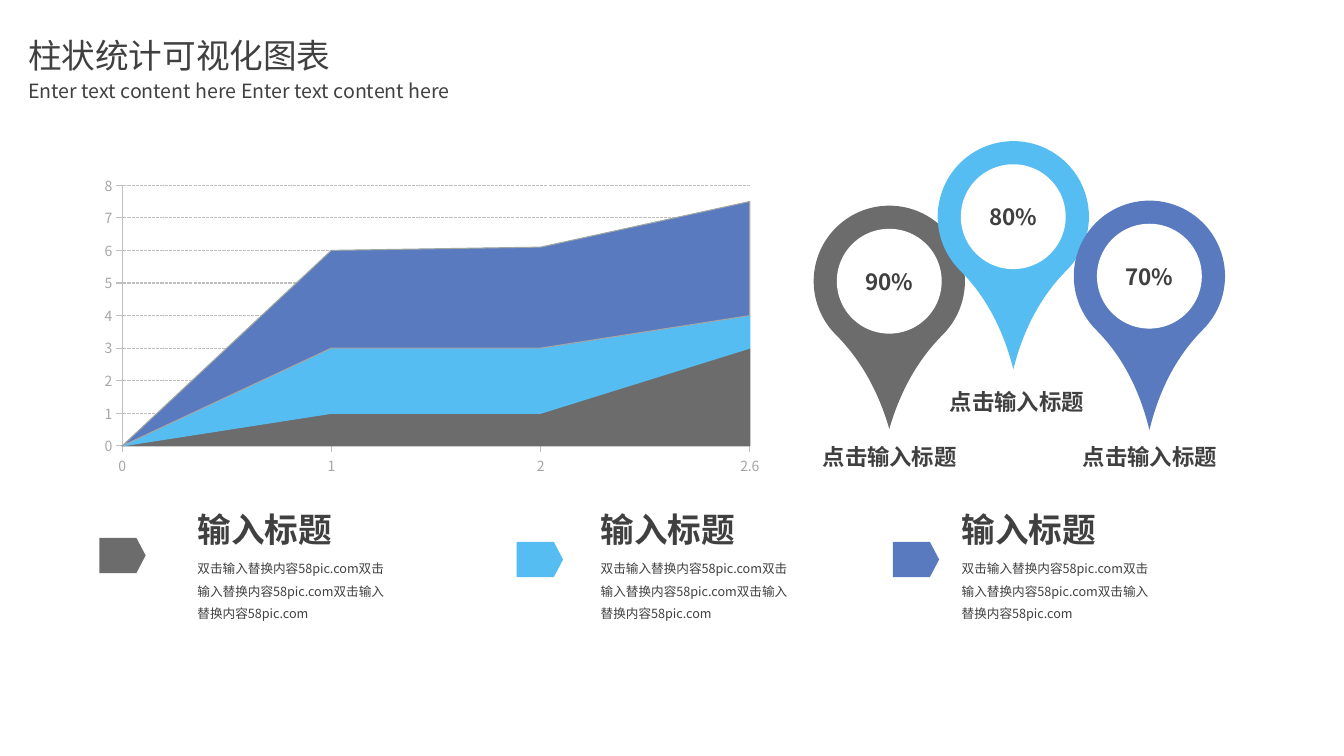
from dataclasses import dataclass

import pptx
import pptx.chart.data
import pptx.dml.color
import pptx.enum.chart
import pptx.enum.dml
import pptx.enum.shapes
import pptx.enum.text
import pptx.oxml
import pptx.oxml.ns
import pptx.util
from lxml import etree

Inches = pptx.util.Inches
Pt = pptx.util.Pt
qn = pptx.oxml.ns.qn
SHAPE = pptx.enum.shapes.MSO_SHAPE
ALIGN = pptx.enum.text.PP_ALIGN


@dataclass(frozen=True)
class Theme:
    font: str = "Noto Sans CJK JP"
    text: str = "404040"
    white: str = "FFFFFF"
    gray: str = "6C6C6C"
    sky: str = "55BDF1"
    blue: str = "5A7AC0"
    green: str = "7EB08C"
    axis_line: str = "BFBFBF"
    axis_text: str = "A6A6A6"
    title: int = 24
    subtitle: int = 14
    label: int = 16
    axis: int = 10
    body: int = 9


T = Theme()


def rgb(color):
    return pptx.dml.color.RGBColor.from_string(color)


def write(tf, text, size, bold=False, align=ALIGN.LEFT, spacing=None):
    p = tf.paragraphs[0]
    p.text = text
    p.alignment = align
    if spacing:
        p.line_spacing = spacing
    p.font.size = Pt(size)
    p.font.bold = bold
    p.font.color.rgb = rgb(T.text)
    p.font.name = T.font
    # East Asian characters take their typeface from a:ea
    ea = etree.SubElement(p._p.pPr.find(qn("a:defRPr")), qn("a:ea"))
    ea.set("typeface", T.font)


def add_text(s, x, y, w, h, text, size, wrap=True, **style):
    tf = s.shapes.add_textbox(Inches(x), Inches(y), Inches(w), Inches(h)).text_frame
    tf.word_wrap = wrap
    write(tf, text, size, **style)


def add_filled(s, kind, x, y, w, h, color, rotation=0):
    sp = s.shapes.add_shape(kind, Inches(x), Inches(y), Inches(w), Inches(h))
    sp.shadow.inherit = False
    sp.fill.solid()
    sp.fill.fore_color.rgb = rgb(color)
    sp.line.fill.background()
    sp.rotation = rotation
    return sp


def add_heading(s, x, y):
    add_text(s, x, y, 3.78, 0.5, "柱状统计可视化图表", T.title)
    add_text(s, x, y + 0.43, 6.24, 0.34,
             "Enter text content here Enter text content here", T.subtitle)


def style_axis(axis):
    axis.major_tick_mark = pptx.enum.chart.XL_TICK_MARK.OUTSIDE
    axis.minor_tick_mark = pptx.enum.chart.XL_TICK_MARK.NONE
    axis.format.line.color.rgb = rgb(T.axis_line)
    axis.format.line.width = Pt(0.75)
    font = axis.tick_labels.font
    font.name = T.font
    font.size = Pt(T.axis)
    font.color.rgb = rgb(T.axis_text)


def set_plot_box(chart, **fractions):
    """Fix the inner plot area as fractions of the chart box."""
    area = chart._chartSpace.chart.plotArea
    for old in area.findall(qn("c:layout")):
        area.remove(old)
    layout = etree.Element(qn("c:layout"))
    manual = etree.SubElement(layout, qn("c:manualLayout"))
    settings = {"layoutTarget": "inner", "xMode": "edge", "yMode": "edge", **fractions}
    for name, value in settings.items():
        etree.SubElement(manual, qn(f"c:{name}")).set("val", str(value))
    area.insert(0, layout)


def add_area_chart(s, x, y, w, h):
    data = pptx.chart.data.CategoryChartData()
    data.categories = ["0", "1", "2", "2.6"]
    series = [
        ("Series 1", (0, 1, 1, 3), T.gray, T.gray),
        ("Series 2", (0, 2, 2, 1), T.sky, T.sky),
        ("Series 3", (0, 3, 3.1, 3.5), T.blue, T.axis_text),
        ("Series 4", (None,) * 4, T.green, None),
    ]
    for name, values, _, _ in series:
        data.add_series(name, values)
    chart = s.shapes.add_chart(
        pptx.enum.chart.XL_CHART_TYPE.AREA_STACKED,
        Inches(x), Inches(y), Inches(w), Inches(h), data).chart
    chart.has_legend = False
    chart.has_title = False
    chart.font.name = T.font
    chart.font.size = Pt(T.axis)
    chart.font.color.rgb = rgb(T.axis_text)
    chart.plots[0].vary_by_categories = False
    for plotted, (_, _, fill, line) in zip(chart.plots[0].series, series):
        plotted.format.fill.solid()
        plotted.format.fill.fore_color.rgb = rgb(fill)
        if line:
            plotted.format.line.color.rgb = rgb(line)
            plotted.format.line.width = Pt(0.75)
        else:
            plotted.format.line.fill.background()

    style_axis(chart.category_axis)
    values = chart.value_axis
    style_axis(values)
    values.minimum_scale, values.maximum_scale, values.major_unit = 0, 8, 1
    values.tick_labels.number_format = "General"
    values.tick_labels.number_format_is_linked = False
    values.has_major_gridlines = True
    grid = values.major_gridlines.format.line
    grid.color.rgb = rgb(T.axis_line)
    grid.width = Pt(0.75)
    grid.dash_style = pptx.enum.dml.MSO_LINE.SQUARE_DOT
    for cross in chart._chartSpace.iter(qn("c:crossBetween")):
        cross.set("val", "midCat")
    set_plot_box(chart, x=0.046, y=0.054, w=0.921, h=0.832)


def add_pin(s, x, y, color, stretch, percent):
    size, inset = 1.5, 0.23
    drop = add_filled(s, SHAPE.TEAR, x, y, size, size, color, rotation=135)
    drop.adjustments[0] = stretch
    hole = size - 2 * inset
    disc = add_filled(s, SHAPE.OVAL, x + inset, y + inset, hole, hole, T.white)
    tf = disc.text_frame
    tf.margin_left = tf.margin_right = tf.margin_top = tf.margin_bottom = 0
    tf.vertical_anchor = pptx.enum.text.MSO_ANCHOR.MIDDLE
    write(tf, percent, T.label, bold=True, align=ALIGN.CENTER)


def add_pins(s, x, y):
    pins = [
        (0, 0.64, T.gray, 1.381, "90%"),
        (1.23, 0, T.sky, 1.427, "80%"),
        (2.58, 0.59, T.blue, 1.439, "70%"),
    ]
    for dx, dy, *look in pins:
        add_pin(s, x + dx, y + dy, *look)
    for dx, dy in [(-0.31, 2.95), (0.95, 2.4), (2.27, 2.95)]:
        add_text(s, x + dx, y + dy, 2.13, 0.37, "点击输入标题", T.label,
                 bold=True, align=ALIGN.CENTER)


def add_legend_entry(s, tag_x, tag_y, text_x, text_y, color):
    add_filled(s, SHAPE.FLOWCHART_OFFPAGE_CONNECTOR, tag_x, tag_y, 0.35, 0.46,
               color, rotation=270)
    add_text(s, text_x, text_y, 1.55, 0.5, "输入标题", T.title, wrap=False, bold=True)
    add_text(s, text_x, text_y + 0.44, 2.11, 0.76,
             "双击输入替换内容58pic.com" * 3, T.body, spacing=1.5)


def main():
    prs = pptx.Presentation()
    prs.slide_width, prs.slide_height = Inches(13.33), Inches(7.5)
    s = prs.slides.add_slide(prs.slide_layouts[6])
    add_area_chart(s, 0.9, 1.67, 6.76, 3.11)
    add_pins(s, 8.07, 1.4)
    for tag_x, tag_y, text_x, color in [
        (1.04, 5.28, 1.86, T.gray),
        (5.18, 5.32, 5.86, T.sky),
        (8.91, 5.32, 9.44, T.blue),
    ]:
        add_legend_entry(s, tag_x, tag_y, text_x, 5, color)
    add_heading(s, 0.18, 0.3)
    prs.save("out.pptx")


if __name__ == "__main__":
    main()
